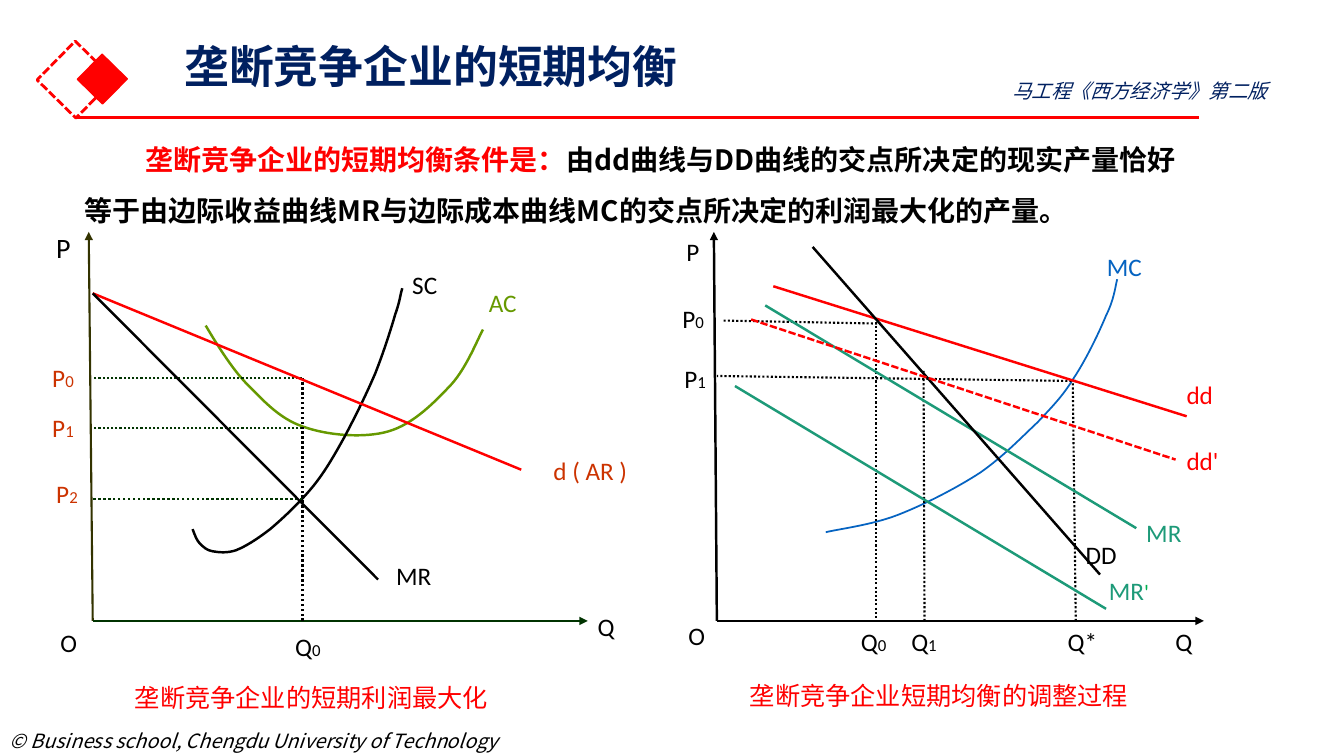
from lxml import etree
from pptx import Presentation
from pptx.dml.color import RGBColor
from pptx.enum.dml import MSO_LINE
from pptx.enum.shapes import MSO_CONNECTOR, MSO_SHAPE
from pptx.enum.text import MSO_ANCHOR, MSO_AUTO_SIZE
from pptx.oxml.ns import qn
from pptx.util import Inches, Pt

RED = RGBColor(0xFF, 0x00, 0x00)
NAVY = RGBColor(0x00, 0x20, 0x60)
BLACK = RGBColor(0x00, 0x00, 0x00)
OLIVE = RGBColor(0x33, 0x33, 0x00)
FOREST = RGBColor(0x00, 0x33, 0x00)
LIME = RGBColor(0x66, 0x99, 0x00)
RUST = RGBColor(0xCC, 0x33, 0x00)
BLUE = RGBColor(0x05, 0x63, 0xC1)
TEAL = RGBColor(0x1D, 0x9A, 0x78)
GREEN = RGBColor(0x00, 0xB0, 0x50)
CJK, LATIN = "Noto Sans CJK SC", "Calibri"
DOT, DASH = MSO_LINE.ROUND_DOT, MSO_LINE.SQUARE_DOT

prs = Presentation()
prs.slide_width, prs.slide_height = Inches(13.33), Inches(7.5)
slide = prs.slides.add_slide(prs.slide_layouts[6])
shapes = slide.shapes


def add_text(box, runs, font_name=CJK, font_format=None, **frame_format):
    """Place one paragraph in box; runs are (text, points, colour)."""
    frame = shapes.add_textbox(*map(Inches, box)).text_frame
    for key, value in ({"word_wrap": True} | frame_format).items():
        setattr(frame, key, value)
    paragraph = frame.paragraphs[0]
    for text, size, color in runs:
        run = paragraph.add_run()
        run.text = text
        settings = {"name": font_name, "size": Pt(size)} | (font_format or {})
        for key, value in settings.items():
            setattr(run.font, key, value)
        run.font.color.rgb = color
        east_asian = etree.SubElement(run._r.get_or_add_rPr(), qn("a:ea"))
        east_asian.set("typeface", font_name)
    return paragraph


def add_line(start, end, color, width=1.75, dash=None, arrow=False):
    line = shapes.add_connector(MSO_CONNECTOR.STRAIGHT, *map(Inches, (*start, *end)))
    line.line.color.rgb = color
    line.line.width = Pt(width)
    if dash:
        line.line.dash_style = dash
    if arrow:
        etree.SubElement(line.line._ln, qn("a:tailEnd")).set("type", "triangle")
    etree.SubElement(line._element.spPr, qn("a:effectLst"))


# Header and footer
add_text((0, 7.18, 5.31, 0.34),
         [("© Business school, Chengdu University of Technology", 14, BLACK)],
         font_format={"italic": True}, word_wrap=False)
for left, top, side, solid in [(0.48, 0.52, 0.54, False), (0.84, 0.61, 0.35, True)]:
    diamond = shapes.add_shape(MSO_SHAPE.RECTANGLE, *map(Inches, (left, top, side, side)))
    diamond.rotation = 314.5
    diamond.shadow.inherit = False
    diamond.line.color.rgb = RED
    if solid:
        diamond.fill.solid()
        diamond.fill.fore_color.rgb = RED
        diamond.line.width = Pt(1)
    else:
        diamond.fill.background()
        diamond.line.width = Pt(2)
        diamond.line.dash_style = DASH
add_line((0.75, 1.17), (11.89, 1.17), RED, 2.25)
title = add_text((1.73, 0.41, 11.5, 0.95), [("垄断竞争企业的短期均衡", 32, NAVY)],
                 font_format={"bold": True}, margin_top=Inches(0.03))
title.line_spacing = 0.9
add_text((9.94, 0.73, 3.24, 0.34), [("马工程《西方经济学》第二版", 14, NAVY)],
         font_format={"italic": True})

condition = add_text(
    (0.77, 1.21, 11.22, 1.38),
    [("垄断竞争企业的短期均衡条件是：", 20, RED),
     ("由dd曲线与DD曲线的交点所决定的现实产量恰好等于由边际收益曲线MR与"
      "边际成本曲线MC的交点所决定的利润最大化的产量。", 20, BLACK)],
    font_format={"bold": True},
    margin_left=Inches(0.07), margin_right=Inches(0.07),
    margin_top=Inches(0.04), margin_bottom=Inches(0.04))
condition.line_spacing = 1.5
condition._p.get_or_add_pPr().set("indent", str(Inches(0.6)))

# Cost curves: a start point, then two control points and an end per segment
average_cost = [
    (2.04, 3.23), (2.1, 3.33), (2.27, 3.62), (2.43, 3.79),
    (2.59, 3.95), (2.76, 4.15), (3, 4.23), (3.24, 4.32), (3.61, 4.35), (3.85, 4.28),
    (4.1, 4.21), (4.32, 3.98), (4.48, 3.81), (4.63, 3.64), (4.73, 3.38), (4.79, 3.27)]
short_run_cost = [
    (1.91, 5.25), (1.93, 5.3), (1.95, 5.36), (1.98, 5.39),
    (2.02, 5.43), (2.05, 5.46), (2.11, 5.47), (2.17, 5.48), (2.25, 5.49), (2.34, 5.46),
    (2.44, 5.42), (2.55, 5.35), (2.68, 5.25), (2.81, 5.14), (2.98, 4.98), (3.11, 4.82),
    (3.23, 4.67), (3.32, 4.51), (3.42, 4.33), (3.52, 4.14), (3.63, 3.92), (3.72, 3.71),
    (3.8, 3.51), (3.88, 3.26), (3.92, 3.12), (3.97, 2.98), (3.97, 2.92), (3.99, 2.86)]
marginal_cost = [
    (8.19, 5.28), (8.31, 5.25), (8.64, 5.21), (8.9, 5.11),
    (9.16, 5.01), (9.49, 4.84), (9.72, 4.69), (9.95, 4.53), (10.13, 4.34), (10.29, 4.19),
    (10.44, 4.03), (10.54, 3.93), (10.65, 3.75), (10.77, 3.57), (10.9, 3.3), (10.97, 3.13),
    (11.05, 2.97), (11.06, 2.85), (11.08, 2.77)]
for points, color, width in [(average_cost, LIME, 1.75), (short_run_cost, BLACK, 1.75),
                             (marginal_cost, BLUE, 1.25)]:
    start, *rest = [(Inches(x), Inches(y)) for x, y in points]
    builder = shapes.build_freeform(*start)
    builder.add_line_segments(rest, close=False)
    curve = builder.convert_to_shape()
    curve.shadow.inherit = False
    curve.fill.background()
    curve.line.color.rgb = color
    curve.line.width = Pt(width)
    # Turn every three straight segments into one cubic segment
    outline = curve._element.xpath(".//a:path")[0]
    segments = outline.findall(qn("a:lnTo"))
    for i in range(0, len(segments), 3):
        cubic = etree.SubElement(outline, qn("a:cubicBezTo"))
        for segment in segments[i:i + 3]:
            cubic.append(segment[0])
            outline.remove(segment)

# Axes
profit_origin, adjustment_origin = (0.92, 6.16), (7.11, 6.16)
add_line(profit_origin, (0.88, 2.3), OLIVE, 1.5, arrow=True)
add_line(profit_origin, (5.83, 6.16), FOREST, arrow=True)
add_line(adjustment_origin, (7.08, 2.3), BLACK, arrow=True)
add_line(adjustment_origin, (11.94, 6.16), BLACK, arrow=True)

# Guide lines
for price, width in [(3.75, 1.5), (4.25, 1.5), (4.95, 1.75)]:
    add_line((3, price), (0.92, price), FOREST, width, DOT)
add_line((3, 6.16), (3, 3.75), BLACK, 1.75, DOT)
for start, end in [((10.67, 6.16), (10.64, 3.78)), ((8.7, 3.21), (7.16, 3.18)),
                   ((8.69, 3.19), (8.69, 6.16)), ((10.67, 3.78), (7.11, 3.73)),
                   ((9.17, 6.16), (9.16, 3.68))]:
    add_line(start, end, BLACK, 1.5, DOT)

# Demand and marginal revenue
for start, end, color, dash in [
        ((0.92, 2.91), (5.17, 4.66), RED, None),
        ((0.92, 2.91), (3.75, 5.75), BLACK, None),
        ((7.67, 2.84), (11.77, 4.13), RED, None),
        ((7.59, 3.03), (11.27, 5.24), TEAL, None),
        ((8.06, 2.45), (10.91, 5.7), BLACK, None),
        ((7.45, 3.17), (11.66, 4.56), RED, DASH),
        ((7.29, 3.83), (10.97, 6.04), TEAL, None)]:
    add_line(start, end, color, dash=dash)

# Labels: box, text, small index, colour
for box, text, index, color in [
        ((5.83, 6, 0.33, 0.42), "Q", "", BLACK),
        ((0.5, 6.16, 0.33, 0.42), "O", "", BLACK),
        ((4.75, 2.75, 0.75, 0.5), "AC", "", LIME),
        ((3.99, 2.57, 0.75, 0.5), "SC", "", BLACK),
        ((5.39, 4.5, 1.2, 0.33), "d ( AR )", "", RUST),
        ((3.83, 5.5, 0.67, 0.42), "MR", "", BLACK),
        ((2.83, 6.25, 0.6, 0.33), "Q", "0", BLACK),
        ((0.42, 3.58, 0.6, 0.33), "P", "0", RUST),
        ((0.42, 4.08, 0.6, 0.33), "P", "1", RUST),
        ((0.46, 4.73, 0.6, 0.33), "P", "2", RUST),
        ((6.71, 2.28, 0.5, 0.42), "P", "", BLACK),
        ((11.56, 6.15, 0.5, 0.42), "Q", "", BLACK),
        ((6.73, 6.09, 0.5, 0.42), "O", "", BLACK),
        ((11.67, 3.71, 0.7, 0.41), "dd", "", RED),
        ((10.88, 2.49, 0.7, 0.31), "MC", "", BLUE),
        ((11.27, 5.04, 1.05, 0.48), "MR", "", TEAL),
        ((10.49, 6.24, 0.7, 0.25), "Q*", "", BLACK),
        ((6.67, 2.95, 0.6, 0.42), "P", "0", BLACK),
        ((8.44, 6.24, 0.6, 0.24), "Q", "0", BLACK),
        ((10.67, 5.29, 0.67, 0.42), "DD", "", BLACK),
        ((6.69, 3.59, 0.6, 0.33), "P", "1", BLACK),
        ((11.67, 4.4, 0.7, 0.33), "dd'", "", RED),
        ((8.94, 6.13, 0.6, 0.46), "Q", "1", BLACK)]:
    runs = [(text, 18, color)] + ([(index, 12, color)] if index else [])
    add_text(box, runs, LATIN, word_wrap=False, vertical_anchor=MSO_ANCHOR.MIDDLE)
for box, runs in [((0.46, 2.24, 0.33, 0.42), [("P", 20, BLACK)]),
                  ((10.9, 5.62, 1.05, 0.48), [("MR", 18, TEAL), ("'", 16, GREEN)])]:
    add_text(box, runs, LATIN, word_wrap=False, vertical_anchor=MSO_ANCHOR.MIDDLE)

# Captions
for box, caption in [((1.24, 6.72, 3.99, 0.71), "垄断竞争企业的短期利润最大化"),
                     ((7.34, 6.7, 4.17, 0.71), "垄断竞争企业短期均衡的调整过程")]:
    add_text(box, [(caption, 18, RED)], auto_size=MSO_AUTO_SIZE.SHAPE_TO_FIT_TEXT)

prs.save("out.pptx")
